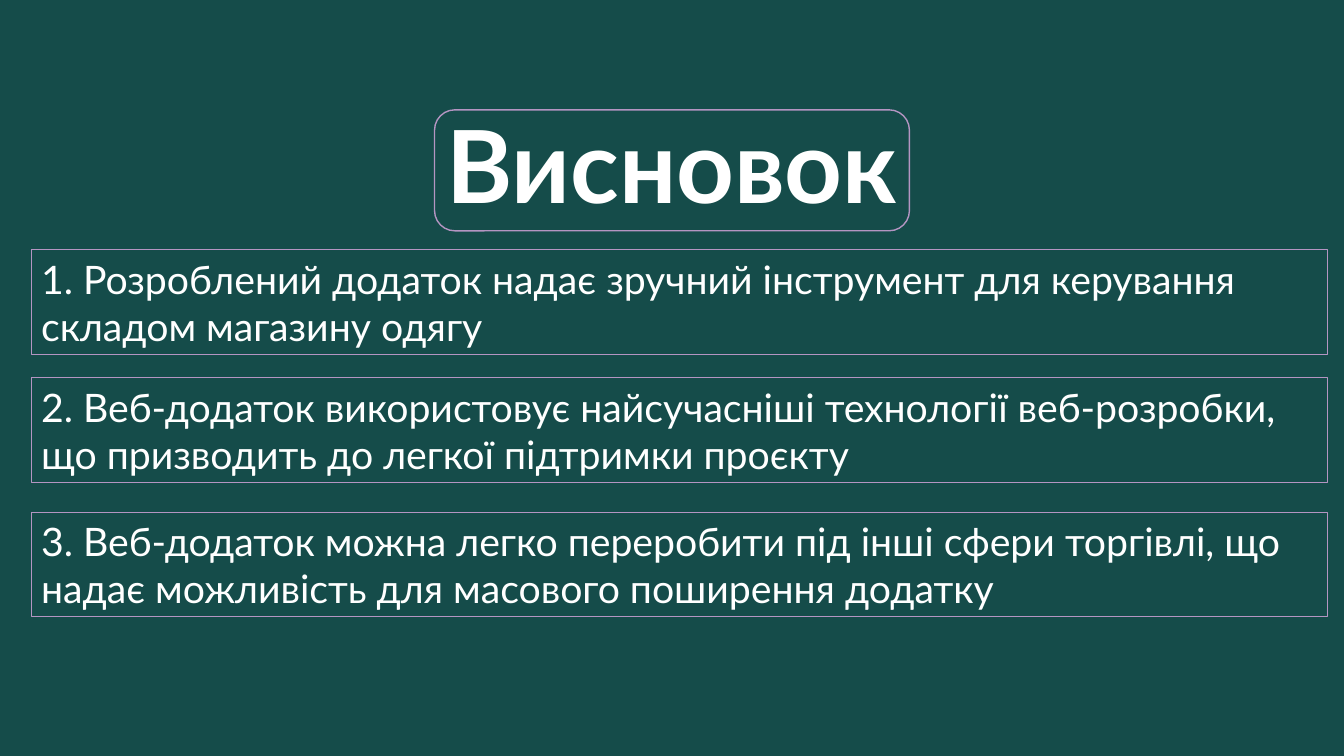
from dataclasses import dataclass

from pptx import Presentation
from pptx.dml.color import RGBColor
from pptx.enum.shapes import MSO_SHAPE as Preset
from pptx.enum.text import MSO_ANCHOR as Anchor, MSO_AUTO_SIZE as AutoSize, PP_ALIGN as Align
from pptx.util import Inches, Pt


@dataclass(frozen=True)
class Theme:
    width: float = 13.33
    height: float = 7.5
    font: str = "Lato"
    ground: RGBColor = RGBColor.from_string("154C4A")
    border: RGBColor = RGBColor.from_string("B495C2")
    ink: RGBColor = RGBColor.from_string("FFFFFF")
    title_size: int = 72
    body_size: int = 28
    frame_line: float = 1
    box_line: float = 0.75


THEME = Theme()
TITLE = "Висновок"
BOX_LEFT, BOX_WIDTH, BOX_HEIGHT = 0.31, 12.86, 1.04
CONCLUSIONS = {
    2.48: "1. Розроблений додаток надає зручний інструмент для керування складом магазину одягу",
    3.75: "2. Веб-додаток використовує найсучасніші технології веб-розробки, "
          "що призводить до легкої підтримки проєкту",
    5.08: "3. Веб-додаток можна легко переробити під інші сфери торгівлі, "
          "що надає можливість для масового поширення додатку",
}


def set_attributes(target, **values):
    for name, value in values.items():
        setattr(target, name, value)


def write(holder, wording, size, align, bold=False):
    frame = holder.text_frame
    frame.text = wording
    set_attributes(frame, word_wrap=True, auto_size=AutoSize.SHAPE_TO_FIT_TEXT,
                   vertical_anchor=Anchor.TOP)
    paragraph = frame.paragraphs[0]
    paragraph.alignment = align
    font = paragraph.runs[0].font
    set_attributes(font, name=THEME.font, size=Pt(size), bold=bold)
    font.color.rgb = THEME.ink


def add_outline(slide, preset, left, top, width, height, line_width):
    outline = slide.shapes.add_shape(preset, *map(Inches, (left, top, width, height)))
    outline.shadow.inherit = False
    outline.line.color.rgb = THEME.border
    outline.line.width = Pt(line_width)
    outline.fill.background()
    return outline


def add_title(slide):
    """Centre the heading on the slide inside a rounded frame."""
    frame_width, title_width = 4.71, 5.95
    add_outline(slide, Preset.ROUNDED_RECTANGLE, (THEME.width - frame_width) / 2, 1.09,
                frame_width, 1.2, THEME.frame_line)
    title = slide.shapes.title
    set_attributes(title, left=Inches((THEME.width - title_width) / 2), top=Inches(0.97),
                   width=Inches(title_width), height=Inches(1.31))
    write(title, TITLE, THEME.title_size, Align.CENTER, bold=True)


def add_conclusion(slide, top, wording):
    box = add_outline(slide, Preset.RECTANGLE, BOX_LEFT, top, BOX_WIDTH, BOX_HEIGHT,
                      THEME.box_line)
    write(box, wording, THEME.body_size, Align.LEFT)


def main():
    deck = Presentation()
    set_attributes(deck, slide_width=Inches(THEME.width), slide_height=Inches(THEME.height))
    slide = deck.slides.add_slide(deck.slide_layouts.get_by_name("Title Only"))
    ground = slide.background.fill
    ground.solid()
    ground.fore_color.rgb = THEME.ground
    add_title(slide)
    for top, wording in CONCLUSIONS.items():
        add_conclusion(slide, top, wording)
    deck.save("out.pptx")


if __name__ == "__main__":
    main()
